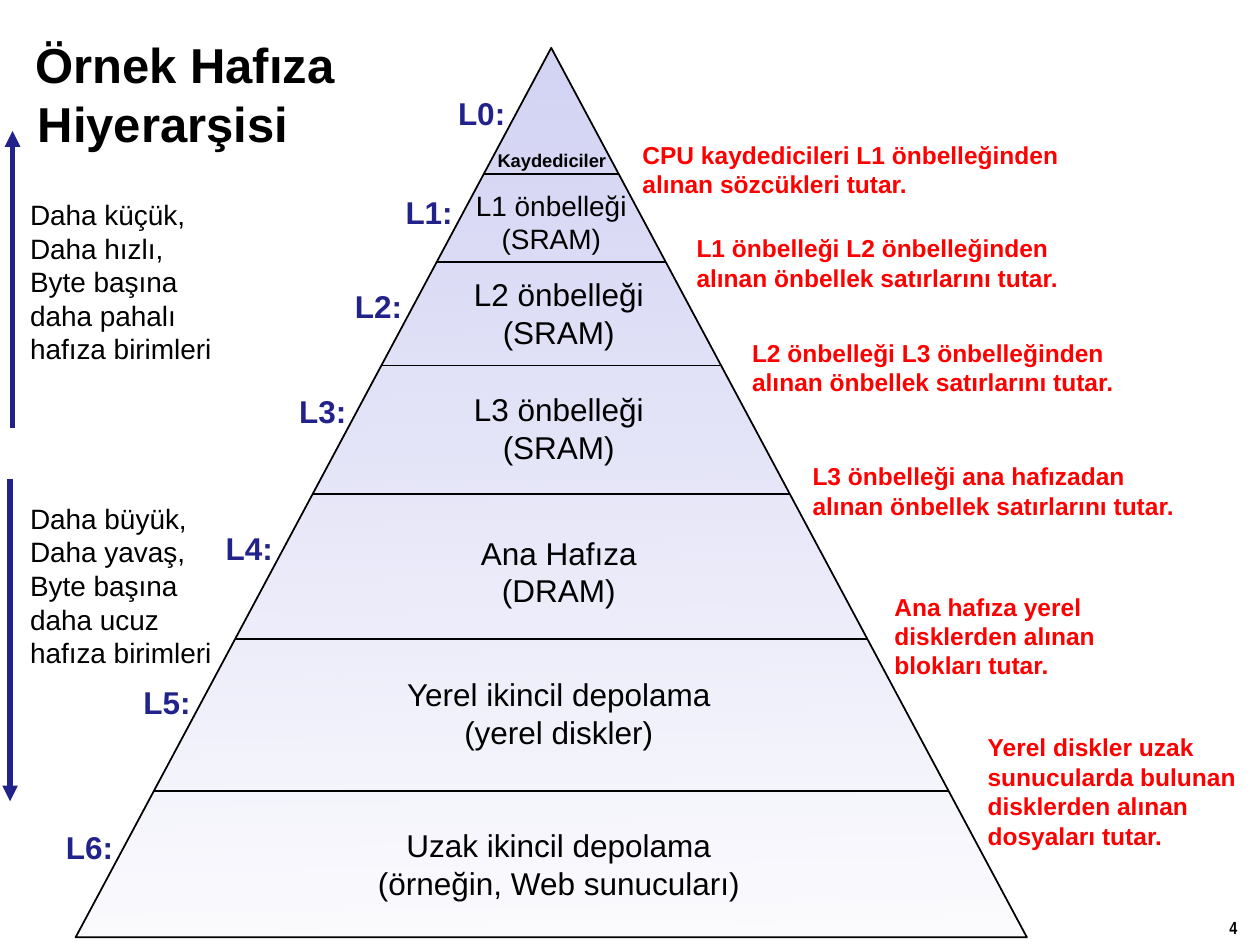
import pptx
import pptx.util
import pptx.dml.color
import pptx.enum.shapes
import pptx.enum.text
from lxml import etree
from pptx.oxml.ns import qn

COLUMNS, ROWS = 100, 75
BLACK, NAVY, RED, LAVENDER = "000000", "22228B", "FF0000", "D2D2F4"
LEFT, CENTER = pptx.enum.text.PP_ALIGN.LEFT, pptx.enum.text.PP_ALIGN.CENTER

# All boxes are left, top, width, height in grid cells.
PYRAMID = (6, 3.8, 75.5, 70.6)
DIVIDERS = (13.8, 20.8, 29, 39.2, 50.7, 62.8)

# Level mark row; caption, its size and centre column, row, width, height
TIERS = (
    (9, "Kaydediciler", 10.5, (43.8, 12.7, 10.8, 2.8)),
    (16.8, "L1 önbelleği\n(SRAM)", 16, (43.75, 17.6, 14.1, 6.4)),
    (24.3, "L2 önbelleği\n(SRAM)", 18, (44.35, 24.85, 15.6, 7.1)),
    (32.6, "L3 önbelleği\n(SRAM)", 18, (44.35, 33.95, 15.6, 7.1)),
    (43.5, "Ana Hafıza\n(DRAM)", 18, (44.35, 45.35, 14.5, 7.1)),
    (55.7, "Yerel ikincil depolama\n(yerel diskler)", 18, (44.35, 56.55, 26.6, 7.1)),
    (67.2, "Uzak ikincil depolama\n(örneğin, Web sunucuları)", 18, (44.35, 68.55, 31.1, 7.1)),
)

NOTES = (
    ("CPU kaydedicileri L1 önbelleğinden alınan sözcükleri tutar.", (50, 10.6, 35.2, 5.7)),
    ("L1 önbelleği L2 önbelleğinden alınan önbellek satırlarını tutar.", (54.3, 18, 31, 5.7)),
    ("L2 önbelleği L3 önbelleğinden alınan önbellek satırlarını tutar.", (58.7, 26.3, 30.8, 5.7)),
    ("L3 önbelleği ana hafızadan alınan önbellek satırlarını tutar.", (63.5, 36.1, 31.5, 5.7)),
    ("Ana hafıza yerel disklerden alınan blokları tutar.", (70, 46.4, 23.9, 8.1)),
    ("Yerel diskler uzak sunucularda bulunan disklerden alınan dosyaları tutar.",
     (77.4, 57.6, 22.6, 10.4)),
)

# Text, its box, and the column and rows its arrow runs through
TRENDS = (
    ("Daha küçük,\nDaha hızlı,\nByte başına\ndaha pahalı\nhafıza birimleri",
     (1.4, 15.1, 16.6, 14.5), (1, 34, 10.4)),
    ("Daha büyük,\nDaha yavaş,\nByte başına\ndaha ucuz\nhafıza birimleri",
     (1.4, 39.2, 16.6, 14.5), (0.8, 38, 63.6)),
)

deck = pptx.Presentation()
deck.slide_width, deck.slide_height = pptx.util.Inches(10), pptx.util.Inches(7.5)


def rgb(value):
    return pptx.dml.color.RGBColor.from_string(value)


def on_grid(*cells):
    """Turn alternating columns and rows into lengths."""
    units = (deck.slide_width / COLUMNS, deck.slide_height / ROWS)
    return [pptx.util.Emu(round(cell * units[i % 2])) for i, cell in enumerate(cells)]


def style(frame, size, color, bold, align, font="Arial"):
    for paragraph in frame.paragraphs:
        paragraph.alignment = align
        for run in paragraph.runs:
            run.font.name, run.font.size = font, pptx.util.Pt(size)
            run.font.bold, run.font.color.rgb = bold, rgb(color)


def write(slide, box, text, size, color=BLACK, bold=False, align=LEFT, wrap=False,
          font="Arial", anchor=pptx.enum.text.MSO_ANCHOR.MIDDLE):
    frame = slide.shapes.add_textbox(*on_grid(*box)).text_frame
    frame.text = text
    frame.word_wrap = wrap
    frame.auto_size = pptx.enum.text.MSO_AUTO_SIZE.SHAPE_TO_FIT_TEXT
    frame.vertical_anchor = anchor
    style(frame, size, color, bold, align, font)


def draw_line(slide, start, end, color=BLACK, width=1, arrow=False):
    line = slide.shapes.add_connector(
        pptx.enum.shapes.MSO_CONNECTOR.STRAIGHT, *on_grid(*start, *end))
    line.line.color.rgb, line.line.width = rgb(color), pptx.util.Pt(width)
    if arrow:
        etree.SubElement(line.line._get_or_add_ln(), qn("a:tailEnd"), type="triangle")
    etree.SubElement(line._element.spPr, qn("a:effectLst"))


def add_title(slide, box):
    title = slide.shapes.title
    title.left, title.top, title.width, title.height = on_grid(*box)
    frame = title.text_frame
    frame.paragraphs[0].text = "Örnek Hafıza\vHiyerarşisi"
    frame.auto_size = pptx.enum.text.MSO_AUTO_SIZE.NONE
    frame.vertical_anchor = pptx.enum.text.MSO_ANCHOR.MIDDLE
    properties = frame.paragraphs[0]._p.get_or_add_pPr()
    properties.set("marL", str(pptx.util.Inches(0.13)))
    properties.set("indent", str(pptx.util.Inches(-0.02)))
    style(frame, 28, BLACK, True, LEFT)


def pyramid_edges(box, row):
    """Columns where the pyramid's two sides cross a row."""
    left, top, width, height = box
    half = (row - top) / height * width / 2
    return left + width / 2 - half, left + width / 2 + half


def add_pyramid(slide, box):
    body = slide.shapes.add_shape(
        pptx.enum.shapes.MSO_SHAPE.ISOSCELES_TRIANGLE, *on_grid(*box))
    body.shadow.inherit = False
    body.fill.gradient()
    body.fill.gradient_angle = 91
    for stop, position in zip(body.fill.gradient_stops, (0, 1)):
        stop.color.rgb, stop.position = rgb(LAVENDER), position
    base_color = body._element.spPr.find(".//" + qn("a:srgbClr"))
    etree.SubElement(base_color, qn("a:alpha"), val="7000")
    body.line.color.rgb, body.line.width = rgb(BLACK), pptx.util.Pt(1)

    for row in DIVIDERS:
        left, right = pyramid_edges(box, row)
        draw_line(slide, (left, row), (right, row))
    for level, (mark_row, caption, size, (x, y, width, height)) in enumerate(TIERS):
        write(slide, (x - width / 2, y - height / 2, width, height), caption, size,
              bold=level == 0, align=CENTER)
        edge = pyramid_edges(box, mark_row)[0]
        write(slide, (edge - 5.6, mark_row - 2, 5.8, 4), f"L{level}:", 18, NAVY, True)


def add_trend(slide, box, text, arrow):
    column, start, end = arrow
    write(slide, box, text, 16)
    draw_line(slide, (column, start), (column, end), NAVY, 3, arrow=True)


def main():
    slide = deck.slides.add_slide(deck.slide_layouts[5])
    add_title(slide, (0.7, 3.1, 95.3, 8.6))
    add_pyramid(slide, PYRAMID)
    for note, box in NOTES:
        write(slide, box, note, 14, RED, True, wrap=True)
    for text, box, arrow in TRENDS:
        add_trend(slide, box, text, arrow)
    write(slide, (96.6, 72.3, 3.4, 2.7), "4", 10, bold=True, font="Arial Narrow",
          anchor=pptx.enum.text.MSO_ANCHOR.TOP)
    deck.save("out.pptx")


if __name__ == "__main__":
    main()
